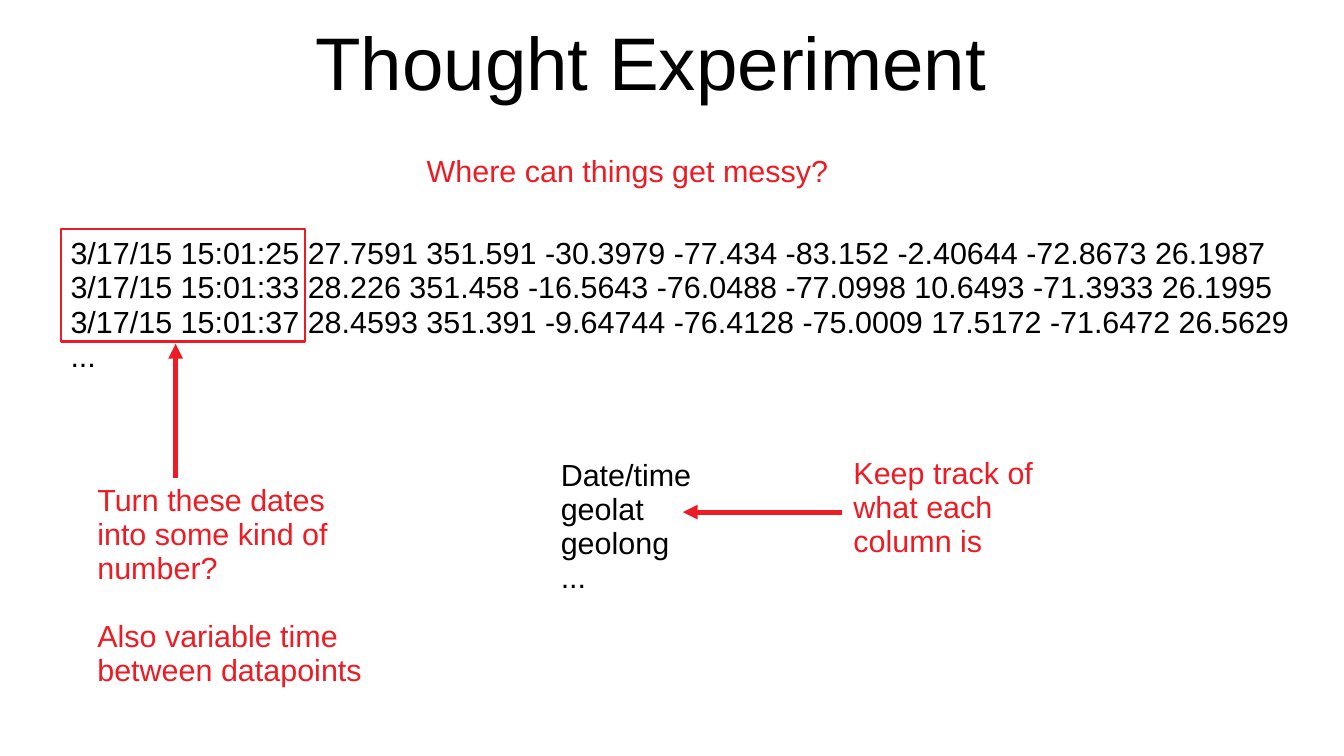
from pptx import Presentation
from pptx import util as u
from pptx.dml import color
from pptx.enum import shapes, text
from pptx.oxml import ns
from lxml import etree

RED = "ED1C24"
BLACK = "000000"
READINGS = [
    "3/17/15 15:01:25 27.7591 351.591 -30.3979 -77.434 -83.152 -2.40644 -72.8673 26.1987",
    "3/17/15 15:01:33 28.226 351.458 -16.5643 -76.0488 -77.0998 10.6493 -71.3933 26.1995",
    "3/17/15 15:01:37 28.4593 351.391 -9.64744 -76.4128 -75.0009 17.5172 -71.6472 26.5629",
    "...",
]
COLUMNS = ["Date/time", "geolat", "geolong", "..."]
DATE_NOTES = ["Turn these dates into some kind of number?",
              "Also variable time between datapoints"]


def rgb(value):
    return color.RGBColor.from_string(value)


def inches(*lengths):
    return [u.Inches(length) for length in lengths]


def fill_text(frame, lines, size, ink, margins, gap=0):
    frame.word_wrap = True
    (frame.margin_left, frame.margin_top,
     frame.margin_right, frame.margin_bottom) = inches(*margins)
    frame.text = "\n".join(lines)
    for index, paragraph in enumerate(frame.paragraphs):
        paragraph.line_spacing = 0.93
        if index and gap:
            paragraph.space_before = u.Pt(gap)
        for run in paragraph.runs:
            run.font.name = "Arial"
            run.font.size = u.Pt(size)
            run.font.color.rgb = rgb(ink)


def add_note(slide, box, lines, ink=RED, gap=0):
    note = slide.shapes.add_textbox(*inches(*box))
    fill_text(note.text_frame, lines, 18, ink, (0.1, 0.07, 0.1, 0.05), gap)


def add_arrow(slide, start, end):
    arrow = slide.shapes.add_connector(
        shapes.MSO_CONNECTOR.STRAIGHT, *inches(*start, *end))
    arrow.line.color.rgb = rgb(RED)
    arrow.line.width = u.Pt(2.89)
    properties = arrow._element.spPr
    etree.SubElement(properties.find(ns.qn("a:ln")), ns.qn("a:tailEnd"), type="triangle")
    etree.SubElement(properties, ns.qn("a:effectLst"))


def add_heading(slide, box):
    title = slide.shapes.title
    title.left, title.top, title.width, title.height = inches(*box)
    fill_text(title.text_frame, ["Thought Experiment"], 44, BLACK, (0, 0.04, 0, 0))
    title.text_frame.vertical_anchor = text.MSO_ANCHOR.MIDDLE
    title.text_frame.paragraphs[0].alignment = text.PP_ALIGN.CENTER


def add_readings(slide, box):
    left, top, width, height = box
    add_note(slide, box, READINGS, BLACK)
    date_frame = slide.shapes.add_shape(
        shapes.MSO_SHAPE.RECTANGLE, *inches(left + 0.02, top, 2, 0.92))
    date_frame.shadow.inherit = False
    date_frame.fill.background()
    date_frame.line.color.rgb = rgb(RED)
    date_frame.line.width = u.Pt(1.45)


def add_date_notes(slide, box):
    left, top, width, height = box
    add_note(slide, box, DATE_NOTES, gap=20)
    add_arrow(slide, (left + 0.74, top + 0.02), (left + 0.74, top - 1.08))


def add_column_names(slide, box):
    left, top, width, height = box
    add_note(slide, (left, top, 1.4, height), COLUMNS, BLACK)
    note_left = left + 2.4
    add_note(slide, (note_left, top - 0.02, width - 2.4, 1.22),
             ["Keep track of what each column is"])
    add_arrow(slide, (note_left, top + 0.5), (left + 1.1, top + 0.5))


def main():
    deck = Presentation()
    deck.slide_width, deck.slide_height = inches(11.02, 6.2)
    slide = deck.slides.add_slide(deck.slide_layouts.get_by_name("Title Only"))
    add_heading(slide, (0.38, 0, 9.92, 1.03))
    add_note(slide, (3.4, 1.2, 3.9, 0.38), ["Where can things get messy?"])
    add_readings(slide, (0.48, 1.88, 10.22, 1.5))
    add_date_notes(slide, (0.7, 3.9, 2.5, 2.06))
    add_column_names(slide, (4.5, 3.7, 4.4, 1.5))
    deck.save("out.pptx")


if __name__ == "__main__":
    main()
